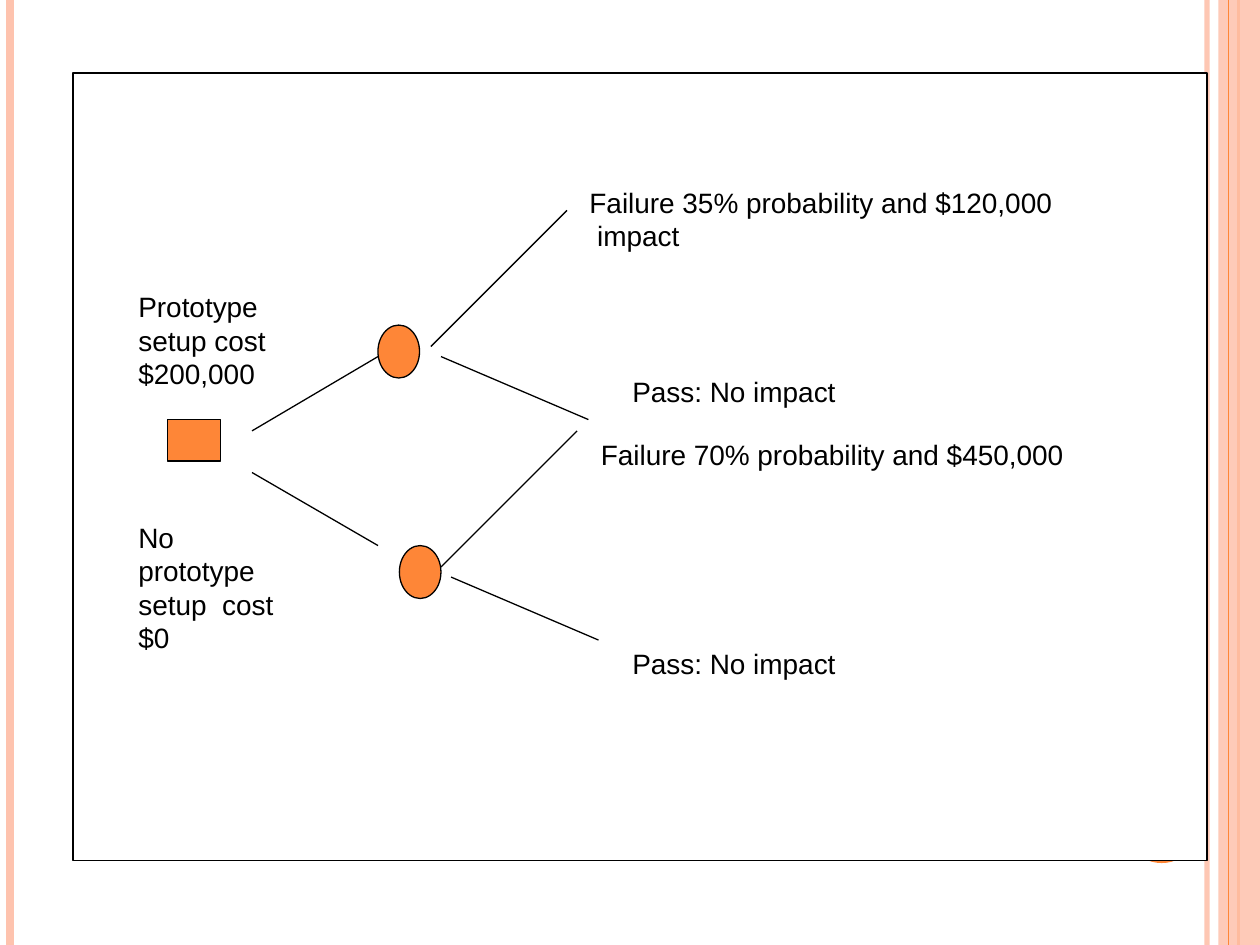
from lxml import etree
from pptx import Presentation
from pptx.dml.color import RGBColor
from pptx.enum import shapes, text
from pptx.oxml import ns
from pptx.util import Inches, Pt

THEME = {
    "font": "Arial", "size": 16, "line": 0.75,
    "ink": "000000", "paper": "FFFFFF", "accent": "FE8637", "tint": "FEC3AE",
}
RECT = shapes.MSO_SHAPE.RECTANGLE
OVAL = shapes.MSO_SHAPE.OVAL
SLIDE_W, SLIDE_H = 10, 7.5

# Vertical rules beside the panel: x, colour, width in points, opacity in %
LEFT_RULES = [(9.58, "tint", 3, 93), (0.08, "tint", 4.5, 100), (9.83, "accent", 1.5, 100)]
RIGHT_RULE = (9.75, "accent", 0.75, 100)
SIDE_BAND = (9.67, 0, 0.33, SLIDE_H)
BADGE = (8.92, 6.25, 0.6, 0.6)

PANEL = (0.58, 0.58, 9, 6.25)
DECISION = (1.33, 3.33, 0.42, 0.33)
CHANCE_SIZE = (0.33, 0.42)
CHANCE_NODES = [(3, 2.58), (3.17, 4.33)]
BRANCHES = [
    ((2, 3.42), (3, 2.83)),
    ((2, 3.75), (3, 4.33)),
    ((3.42, 2.75), (4.5, 1.67)),
    ((3.5, 2.83), (4.67, 3.33)),
    ((3.5, 4.5), (4.58, 3.42)),
    ((3.58, 4.58), (4.75, 5.08)),
]
OPTION_W, OUTCOME_W = 1.33, 3.92
LABELS = [
    ("Prototype setup cost $200,000", 1, 2.25, OPTION_W, 0.9),
    ("No prototype setup  cost $0", 1, 4.08, OPTION_W, 1.17),
    ("Failure 35% probability and $120,000\v impact", 4.58, 1.42, OUTCOME_W, 0.64),
    ("Pass: No impact", 4.92, 2.92, OUTCOME_W, 0.37),
    ("Pass: No impact", 4.92, 5.08, OUTCOME_W, 0.37),
    ("Failure 70% probability and $450,000", 4.67, 3.42, OUTCOME_W, 0.37),
]


def color(name):
    return RGBColor.from_string(THEME[name])


def set_opacity(fill_owner, percent):
    """Add an alpha value to the solid colour found in a shape's properties."""
    rgb = fill_owner.find(".//" + ns.qn("a:srgbClr"))
    etree.SubElement(rgb, ns.qn("a:alpha")).set("val", str(percent * 1000))


def add_figure(slide, preset, box, fill, outlined=True, opacity=100):
    figure = slide.shapes.add_shape(preset, *map(Inches, box))
    figure.shadow.inherit = False
    figure.fill.solid()
    figure.fill.fore_color.rgb = color(fill)
    if opacity < 100:
        set_opacity(figure._element.spPr, opacity)
    if outlined:
        figure.line.color.rgb = color("ink")
        figure.line.width = Pt(THEME["line"])
    else:
        figure.line.fill.background()


def add_line(slide, start, end, stroke="ink", width=THEME["line"], opacity=100):
    line = slide.shapes.add_connector(
        shapes.MSO_CONNECTOR.STRAIGHT, *map(Inches, (*start, *end)))
    line.line.color.rgb = color(stroke)
    line.line.width = Pt(width)
    properties = line._element.spPr
    if opacity < 100:
        set_opacity(properties, opacity)
    etree.SubElement(properties, ns.qn("a:effectLst"))


def add_rule(slide, x, stroke, width, opacity):
    add_line(slide, (x, 0), (x, SLIDE_H), stroke, width, opacity)


def add_label(slide, wording, *box):
    frame = slide.shapes.add_textbox(*map(Inches, box)).text_frame
    frame.word_wrap = True
    frame.auto_size = text.MSO_AUTO_SIZE.SHAPE_TO_FIT_TEXT
    frame.text = wording
    for run in frame.paragraphs[0].runs:
        run.font.name = THEME["font"]
        run.font.size = Pt(THEME["size"])
        run.font.color.rgb = color("ink")


def main():
    deck = Presentation()
    deck.slide_width, deck.slide_height = Inches(SLIDE_W), Inches(SLIDE_H)
    slide = deck.slides.add_slide(deck.slide_layouts[6])
    slide.background.fill.solid()
    slide.background.fill.fore_color.rgb = color("paper")

    for rule in LEFT_RULES:
        add_rule(slide, *rule)
    add_figure(slide, RECT, SIDE_BAND, "tint", outlined=False, opacity=87)
    add_rule(slide, *RIGHT_RULE)
    add_figure(slide, OVAL, BADGE, "accent", outlined=False)

    add_figure(slide, RECT, PANEL, "paper")
    add_figure(slide, RECT, DECISION, "accent")
    for corner in CHANCE_NODES:
        add_figure(slide, OVAL, corner + CHANCE_SIZE, "accent")
    for start, end in BRANCHES:
        add_line(slide, start, end)
    for label in LABELS:
        add_label(slide, *label)
    deck.save("out.pptx")


if __name__ == "__main__":
    main()
